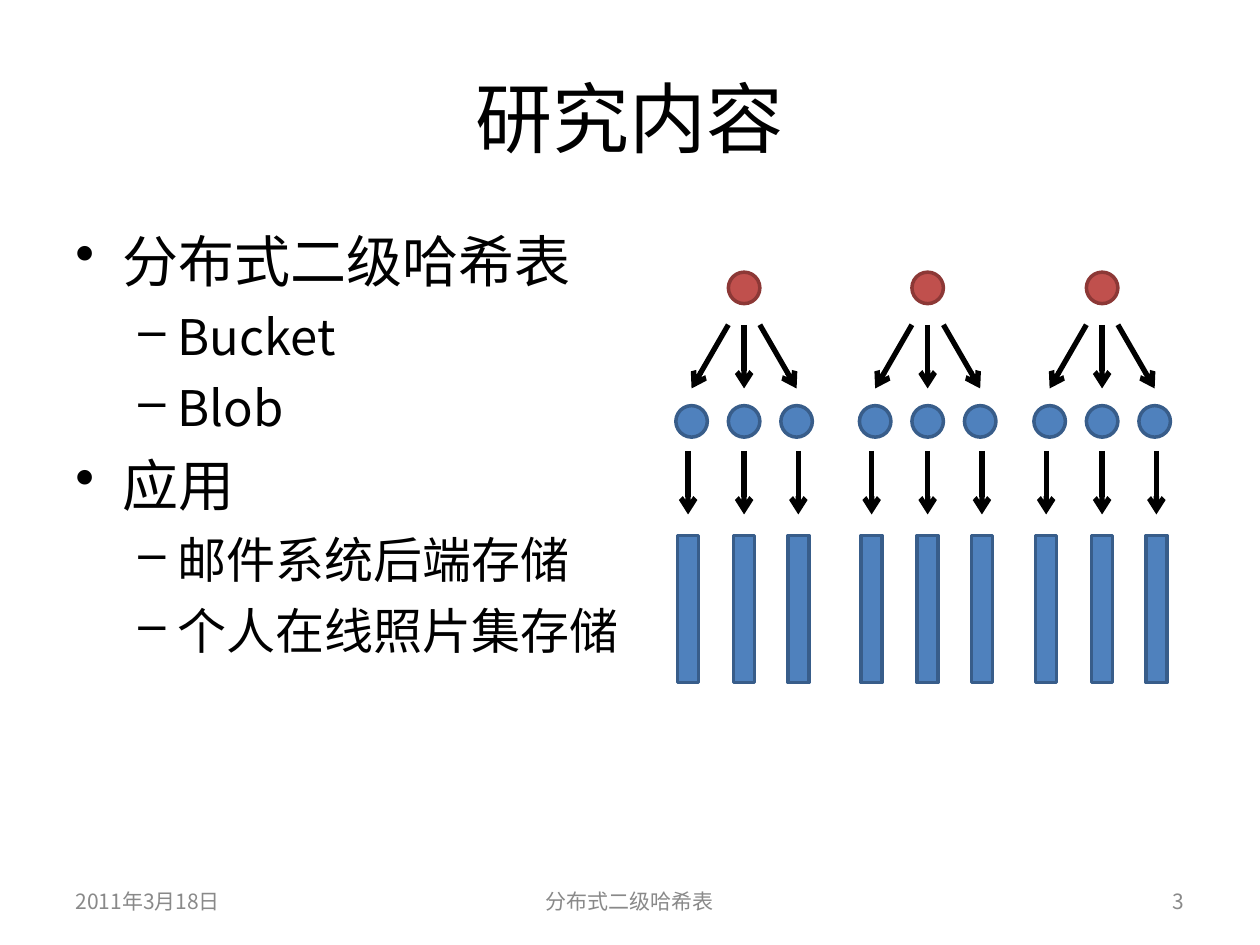
"""Build the research content slide: an outline beside a two-level hash tree."""
from lxml import etree
from pptx import Presentation, util as u
from pptx.dml.color import RGBColor
from pptx.enum import shapes, text
from pptx.oxml.ns import qn

Pt = u.Pt
FONT = "Noto Sans CJK SC"
LEFT, CENTER, RIGHT = text.PP_ALIGN.LEFT, text.PP_ALIGN.CENTER, text.PP_ALIGN.RIGHT


def color(hex_string):
    return RGBColor.from_string(hex_string)


def add_text(paragraph, words, size, ink):
    run = paragraph.add_run()
    run.text = words
    run.font.size = Pt(size)
    run.font.name = FONT
    run.font.color.rgb = color(ink)
    etree.SubElement(run.font._element, qn("a:ea")).set("typeface", FONT)


presentation = Presentation()
presentation.slide_width, presentation.slide_height = Pt(720), Pt(540)
slide = presentation.slides.add_slide(presentation.slide_layouts[6])

for words, left, top, width, height, align, size, ink in [
    ("研究内容", 36, 21.6, 648, 90, CENTER, 44, "000000"),
    ("2011年3月18日", 36, 500.4, 168, 28.8, LEFT, 12, "898989"),
    ("分布式二级哈希表", 246, 500.4, 228, 28.8, CENTER, 12, "898989"),
    ("3", 516, 500.4, 168, 28.8, RIGHT, 12, "898989"),
]:
    frame = slide.shapes.add_textbox(Pt(left), Pt(top), Pt(width), Pt(height)).text_frame
    frame.word_wrap = True
    frame.vertical_anchor = text.MSO_ANCHOR.MIDDLE
    frame.paragraphs[0].alignment = align
    add_text(frame.paragraphs[0], words, size, ink)

outline = slide.shapes.add_textbox(Pt(36), Pt(126), Pt(648), Pt(356.4)).text_frame
outline.word_wrap = True
levels = [(32, 8, 27, -27, "•"), (28, 7, 58.5, -22.5, "–")]
for index, (level, words) in enumerate([
    (0, "分布式二级哈希表"),
    (1, "Bucket"),
    (1, "Blob"),
    (0, "应用"),
    (1, "邮件系统后端存储"),
    (1, "个人在线照片集存储"),
]):
    size, space, margin, indent, bullet = levels[level]
    item = outline.add_paragraph() if index else outline.paragraphs[0]
    item.level = level
    item.space_before = Pt(space)
    properties = item._p.get_or_add_pPr()
    properties.set("marL", str(Pt(margin)))
    properties.set("indent", str(Pt(indent)))
    etree.SubElement(properties, qn("a:buChar")).set("char", bullet)
    add_text(item, words, size, "000000")

OVAL, RECTANGLE = shapes.MSO_SHAPE.OVAL, shapes.MSO_SHAPE.RECTANGLE
RED, BLUE = ("C0504D", "8C3836"), ("4F81BD", "385D8A")
NODE = 18
BAR_WIDTH, BAR_HEIGHT = 12, 84
branches = [(-9, -30, -32), (0, 0, 0), (9, 30, 31)]

for center in (425.2, 530.1, 629.8):
    tree = slide.shapes.add_group_shape().shapes
    parts = [(OVAL, center, 155.5, NODE, NODE, RED)]
    arrows = []
    for start, node, bar in branches:
        parts += [
            (OVAL, center + node, 231.8, NODE, NODE, BLUE),
            (RECTANGLE, center + bar, 306, BAR_WIDTH, BAR_HEIGHT, BLUE),
        ]
        arrows += [
            (center + start, 185.6, center + node, 222),
            (center + bar, 257.6, center + bar, 294),
        ]

    for kind, middle, top, width, height, (fill, edge) in parts:
        part = tree.add_shape(kind, Pt(middle - width / 2), Pt(top), Pt(width), Pt(height))
        part.shadow.inherit = False
        part.fill.solid()
        part.fill.fore_color.rgb = color(fill)
        part.line.color.rgb = color(edge)
        part.line.width = Pt(2)

    for ends in arrows:
        arrow = tree.add_connector(shapes.MSO_CONNECTOR.STRAIGHT, *map(Pt, ends))
        arrow.line.color.rgb = color("000000")
        arrow.line.width = Pt(3)
        etree.SubElement(arrow.line._get_or_add_ln(), qn("a:tailEnd")).set("type", "arrow")
        etree.SubElement(arrow._element.spPr, qn("a:effectLst"))

presentation.save("out.pptx")
